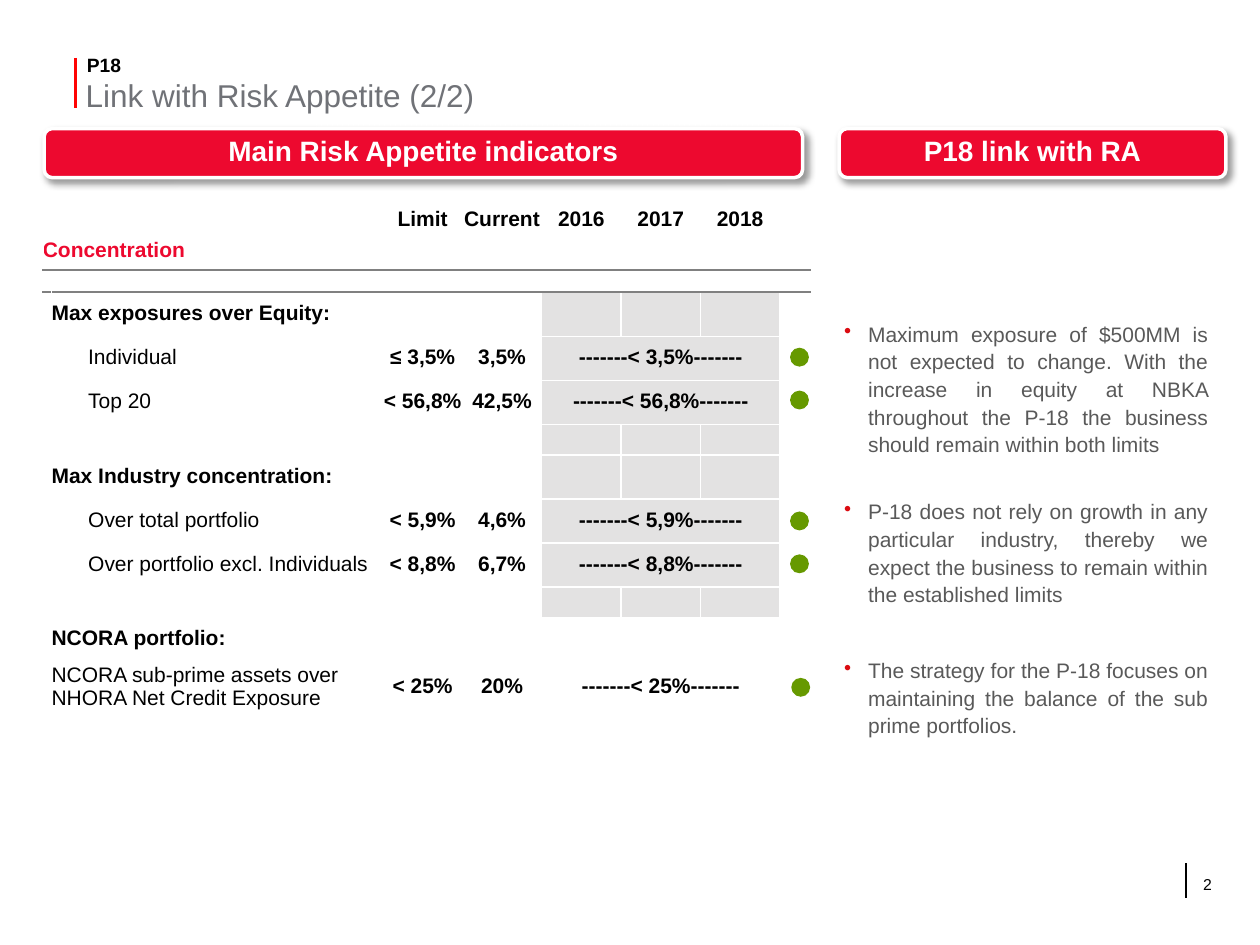
import pptx
import pptx.dml.color
import pptx.enum.shapes
import pptx.enum.text
import pptx.util
from lxml import etree
from pptx.oxml.ns import qn

Inches, Pt = pptx.util.Inches, pptx.util.Pt
SHAPE = pptx.enum.shapes.MSO_SHAPE
ALIGN = pptx.enum.text.PP_ALIGN
ANCHOR = pptx.enum.text.MSO_ANCHOR

RED, GREEN, GREY, BLACK, WHITE = "ED092F", "669900", "E3E2E2", "000000", "FFFFFF"


def colour(value):
    return pptx.dml.color.RGBColor.from_string(value)


def add_xml(parent, tag, **attributes):
    return etree.SubElement(parent, qn(tag), attributes)


def apply(target, values):
    for name, value in values.items():
        setattr(target, name, value)


class Deck:
    font = "Arial"

    def __init__(self, width, height):
        self.prs = pptx.Presentation()
        self.prs.slide_width, self.prs.slide_height = Inches(width), Inches(height)
        self.slide = self.prs.slides.add_slide(self.prs.slide_layouts[6])

    def wording(self, paragraph, text, size, hue=BLACK, bold=False, **layout):
        run = paragraph.add_run()
        run.text = text
        apply(run.font, {"name": self.font, "size": Pt(size), "bold": bold})
        run.font.color.rgb = colour(hue)
        apply(paragraph, layout)

    def margins(self, frame, left, top, right, bottom):
        sides = {"left": left, "top": top, "right": right, "bottom": bottom}
        apply(frame, {f"margin_{side}": Inches(gap) for side, gap in sides.items()})

    def text(self, box, text, size, hue=BLACK, bold=False, insets=(0, 0, 0, 0), **layout):
        frame = self.slide.shapes.add_textbox(*map(Inches, box)).text_frame
        frame.word_wrap = True
        self.margins(frame, *insets)
        self.wording(frame.paragraphs[0], text, size, hue, bold, **layout)
        return frame.paragraphs[0]

    def bullet(self, box, text):
        paragraph = self.text(box, text, 12, "595959", insets=(0.04, 0.05, 0.1, 0.05),
                              alignment=ALIGN.JUSTIFY, space_before=Pt(6), line_spacing=1.1)
        props = paragraph._p.get_or_add_pPr()
        props.set("marL", str(Inches(0.19)))
        props.set("indent", str(-Inches(0.19)))
        add_xml(add_xml(props, "a:buClr"), "a:srgbClr", val="DB0B11")
        add_xml(props, "a:buChar", char="•")

    def line(self, x, top, bottom, hue, width):
        rule = self.slide.shapes.add_connector(
            pptx.enum.shapes.MSO_CONNECTOR.STRAIGHT, *map(Inches, (x, top, x, bottom)))
        rule.line.color.rgb = colour(hue)
        rule.line.width = Pt(width)
        add_xml(rule._element.spPr, "a:effectLst")

    def shape(self, kind, box, fill):
        shape = self.slide.shapes.add_shape(kind, *map(Inches, box))
        shape.shadow.inherit = False
        shape.fill.solid()
        shape.fill.fore_color.rgb = colour(fill)
        shape.line.fill.background()
        return shape

    def banner(self, box, text):
        banner = self.shape(SHAPE.ROUNDED_RECTANGLE, box, RED)
        banner.line.color.rgb = colour(WHITE)
        banner.line.width = Pt(2)
        effects = banner._element.spPr.find(qn("a:effectLst"))
        shadow = add_xml(effects, "a:outerShdw", blurRad=str(Pt(4)), dist=str(Pt(3)),
                         dir="2700000", algn="tl", rotWithShape="0")
        add_xml(add_xml(shadow, "a:srgbClr", val=BLACK), "a:alpha", val="40000")
        frame = banner.text_frame
        frame.vertical_anchor = ANCHOR.MIDDLE
        self.margins(frame, 0.04, 0.05, 0.04, 0.05)
        self.wording(frame.paragraphs[0], text, 16, WHITE, True,
                     alignment=ALIGN.CENTER, line_spacing=Pt(16))

    def table(self, left, top, widths, heights):
        table = self.slide.shapes.add_table(
            len(heights), len(widths), Inches(left), Inches(top),
            Inches(sum(widths)), Inches(sum(heights))).table
        apply(table, {"first_row": False, "horz_banding": False})
        for column, width in zip(table.columns, widths):
            column.width = Inches(width)
        for row, height in zip(table.rows, heights):
            row.height = Inches(height)
            for cell in row.cells:
                cell.fill.background()
                cell.vertical_anchor = ANCHOR.MIDDLE
                self.margins(cell, 0, 0, 0, 0)
                # Keeps blank cells from stretching their row
                add_xml(cell.text_frame.paragraphs[0]._p, "a:endParaRPr", sz="600")
        return table

    def cell(self, cell, text, hue=BLACK, bold=True, **layout):
        self.wording(cell.text_frame.paragraphs[0], text, 12, hue, bold,
                     **{"line_spacing": 0.9, **layout})

    def border(self, cell, side, hue, width):
        edge = etree.Element(qn(f"a:{side}"), w=str(Pt(width)))
        add_xml(add_xml(edge, "a:solidFill"), "a:srgbClr", val=hue)
        cell._tc.get_or_add_tcPr().insert(0, edge)


def main():
    deck = Deck(10, 7.5)

    # Title and page number
    deck.line(0.6, 0.46, 0.86, "FF0303", 1.5)
    deck.line(9.41, 6.85, 7.13, BLACK, 1)
    deck.text((0.69, 0.42, 5.06, 0.22), "P18", 11, bold=True)
    deck.text((0.68, 0.6, 7.35, 0.36), "Link with Risk Appetite (2/2)", 18, "707277")
    deck.text((9.45, 6.89, 0.42, 0.4), "2", 9, insets=(0.1, 0.05, 0.1, 0.05))

    # Banners
    deck.banner((0.35, 1.02, 6.02, 0.39), "Main Risk Appetite indicators")
    deck.banner((6.66, 1.02, 3.07, 0.39), "P18 link with RA")

    # Indicator table
    heights = [0.18, 0.3, 0.18] + [0.35, 0.35, 0.35, 0.24] * 2 + [0.35, 0.35]
    indicators = deck.table(0.34, 1.66, [0.07, 2.56, 0.07] + [0.63] * 5 + [0.24], heights)
    for col, heading in enumerate(("Limit", "Current", "2016", "2017", "2018"), 3):
        deck.cell(indicators.cell(0, col), heading, alignment=ALIGN.CENTER)
    for row in (1, 2):
        indicators.cell(row, 0).merge(indicators.cell(row, 1))
    deck.cell(indicators.cell(1, 0), "Concentration", RED)
    for col in range(9):
        deck.border(indicators.cell(1, col), "lnB", "808080", 1.5)
        deck.border(indicators.cell(2, col), "lnT", "808080", 1.5)

    # Shaded forecast years
    for row in range(3, 11):
        for col in range(5, 8):
            forecast = indicators.cell(row, col)
            forecast.fill.solid()
            forecast.fill.fore_color.rgb = colour(GREY)

    groups = {3: "Max exposures over Equity:", 7: "Max Industry concentration:",
              11: "NCORA portfolio:"}
    for row, group in groups.items():
        deck.cell(indicators.cell(row, 1), group)

    measures = {
        4: ("Individual", "≤ 3,5%", "3,5%", "< 3,5%"),
        5: ("Top 20", "< 56,8%", "42,5%", "< 56,8%"),
        8: ("Over total portfolio", "< 5,9%", "4,6%", "< 5,9%"),
        9: ("Over portfolio excl. Individuals", "< 8,8%", "6,7%", "< 8,8%"),
        12: ("NCORA sub-prime assets over NHORA Net Credit Exposure", "< 25%", "20%", "< 25%"),
    }
    for row, (measure, limit, current, forecast) in measures.items():
        name = indicators.cell(row, 1)
        deck.cell(name, measure, bold=False, line_spacing=1.0 if row == 12 else 0.9)
        if row != 12:
            name.text_frame.paragraphs[0]._p.get_or_add_pPr().set("marL", str(Inches(0.29)))
        indicators.cell(row, 5).merge(indicators.cell(row, 7))
        for col, value in enumerate((limit, current, f"-------{forecast}-------"), 3):
            deck.cell(indicators.cell(row, col), value, alignment=ALIGN.CENTER)

    # Status lights
    for left, top in ((6.27, 2.76), (6.27, 3.1), (6.27, 4.06), (6.27, 4.4), (6.28, 5.38)):
        deck.shape(SHAPE.OVAL, (left, top, 0.15, 0.15), GREEN)

    # Comments
    comments = {
        2.48: "Maximum exposure of $500MM is not expected to change. With the increase in equity "
              "at NBKA throughout the P-18 the business should remain within both limits",
        3.89: "P-18 does not rely on growth in any particular industry, thereby we expect the "
              "business to remain within the established limits",
        5.15: "The strategy for the P-18 focuses on maintaining the balance of the sub prime "
              "portfolios.",
    }
    for top, comment in comments.items():
        deck.bullet((6.66, top, 3.03, 0.83), comment)

    deck.prs.save("out.pptx")


if __name__ == "__main__":
    main()
